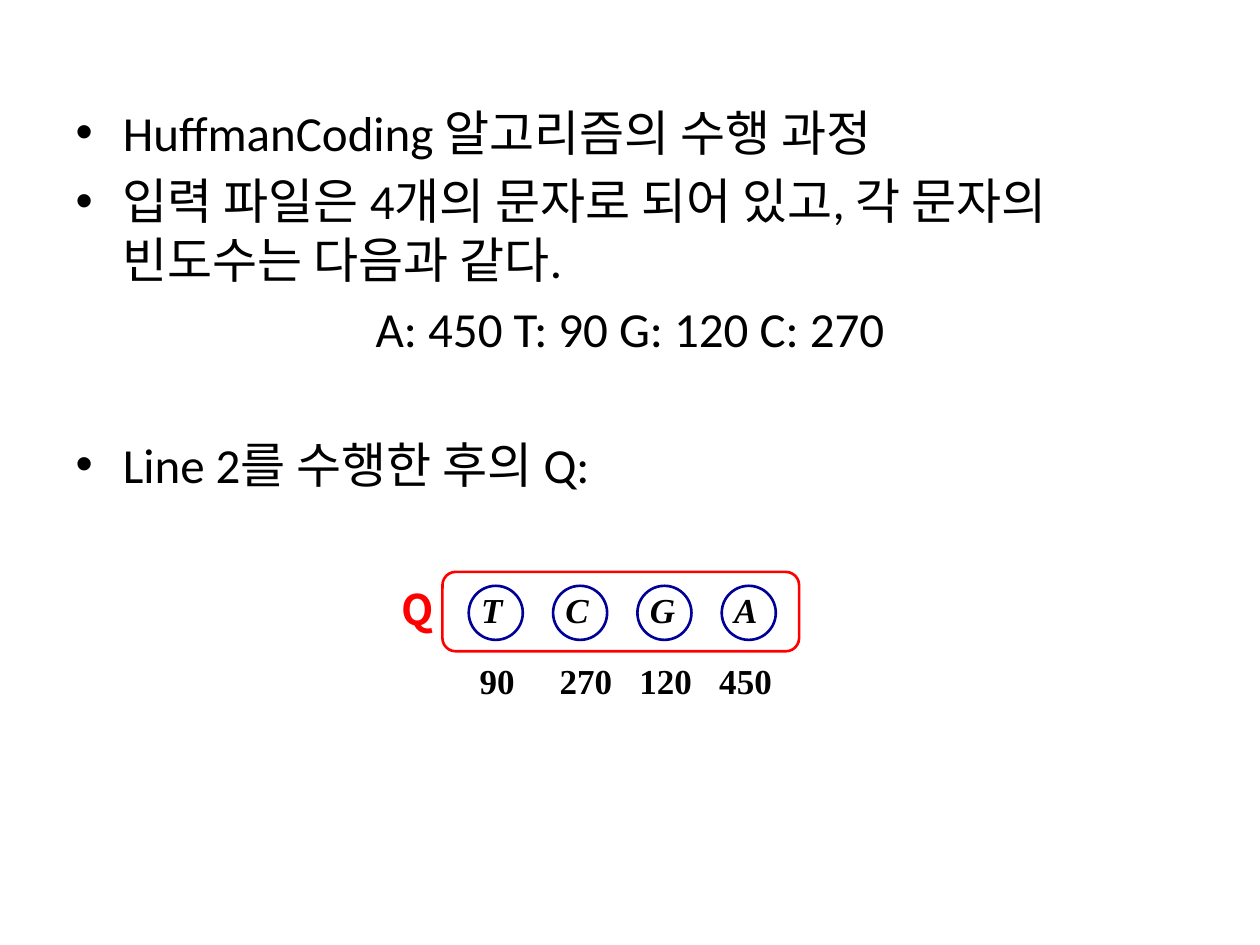
from pptx import Presentation
from pptx.dml.color import RGBColor
from pptx.enum.shapes import MSO_SHAPE
from pptx.enum.text import MSO_ANCHOR, PP_ALIGN
from pptx.oxml.ns import qn
from pptx.util import Cm, Pt

OVAL, ROUND_RECT = MSO_SHAPE.OVAL, MSO_SHAPE.ROUNDED_RECTANGLE
TOP, CENTER = MSO_ANCHOR.TOP, PP_ALIGN.CENTER

BLACK = RGBColor(0x00, 0x00, 0x00)
RED = RGBColor(0xFF, 0x00, 0x00)
NAVY = RGBColor(0x00, 0x00, 0x99)
BODY_FONT, KOREAN_FONT, NODE_FONT = "Calibri", "Noto Sans CJK KR", "Times New Roman"

# Content: (text, is a bullet, space before in points or None)
BODY = [
    ("HuffmanCoding 알고리즘의 수행 과정", True, None),
    ("입력 파일은 4개의 문자로 되어 있고, 각 문자의 빈도수는 다음과 같다.", True, None),
    ("A: 450 T: 90 G: 120 C: 270", False, None),
    ("Line 2를 수행한 후의 Q:", True, 44),
]
QUEUE = [("T", "90"), ("C", "270"), ("G", "120"), ("A", "450")]

# Queue geometry in cm
NODE_LEFT, NODE_TOP, NODE_SIZE, NODE_STEP = 9.45, 11.81, 1.09, 1.7
LETTER_TOP = 11.73
COUNT_LEFT, COUNT_TOP, COUNT_STEP = 9.42, 13.18, 1.61


def add_outline(s, kind, left, top, width, height, color):
    sp = s.shapes.add_shape(kind, Cm(left), Cm(top), Cm(width), Cm(height))
    sp.shadow.inherit = False
    sp.fill.background()
    sp.line.color.rgb = color
    sp.line.width = Pt(1.5)


def add_label(s, text, left, top, width, height, size=20, font=NODE_FONT,
              color=BLACK, italic=False):
    tf = s.shapes.add_textbox(Cm(left), Cm(top), Cm(width), Cm(height)).text_frame
    tf.word_wrap = False
    tf.text = text
    f = tf.paragraphs[0].runs[0].font
    f.name, f.size, f.bold, f.italic = font, Pt(size), True, italic
    f.color.rgb = color


def fill_body(sp):
    sp.left, sp.top, sp.width, sp.height = Cm(1.27), Cm(1.93), Cm(22.86), Cm(15.09)
    tf = sp.text_frame
    tf.vertical_anchor = TOP
    tf.text = "\n".join(text for text, _, _ in BODY)
    for p, (_, bullet, space) in zip(tf.paragraphs, BODY):
        if not bullet:
            p.alignment = CENTER
            pPr = p._p.get_or_add_pPr()
            pPr.set("marL", "0")
            pPr.set("indent", "0")
            pPr.append(pPr.makeelement(qn("a:buNone"), {}))
        if space:
            p.space_before = Pt(space)
        for r in p.runs:
            r.font.name, r.font.size = BODY_FONT, Pt(28)
            r.font.color.rgb = BLACK
            rPr = r._r.get_or_add_rPr()
            rPr.append(rPr.makeelement(qn("a:ea"), {"typeface": KOREAN_FONT}))


def main():
    prs = Presentation()
    prs.slide_width, prs.slide_height = Cm(25.4), Cm(19.05)
    s = prs.slides.add_slide(prs.slide_layouts[1])

    # Body text; the slide has no title
    title = s.shapes.title.element
    title.getparent().remove(title)
    fill_body(s.placeholders[1])

    # Queue nodes with their frequencies
    for i, (letter, count) in enumerate(QUEUE):
        left = NODE_LEFT + i * NODE_STEP
        add_outline(s, OVAL, left, NODE_TOP, NODE_SIZE, NODE_SIZE, NAVY)
        add_label(s, letter, left, LETTER_TOP, 0.95, 1.12, italic=True)
        add_label(s, count, COUNT_LEFT + i * COUNT_STEP, COUNT_TOP,
                  0.7 + 0.29 * len(count), 1.12)

    # Queue frame and its name
    add_outline(s, ROUND_RECT, 8.92, 11.53, 7.19, 1.6, RED)
    add_label(s, "Q", 7.85, 11.63, 0.82, 1.3, 24, KOREAN_FONT, RED)

    prs.save("out.pptx")


if __name__ == "__main__":
    main()
